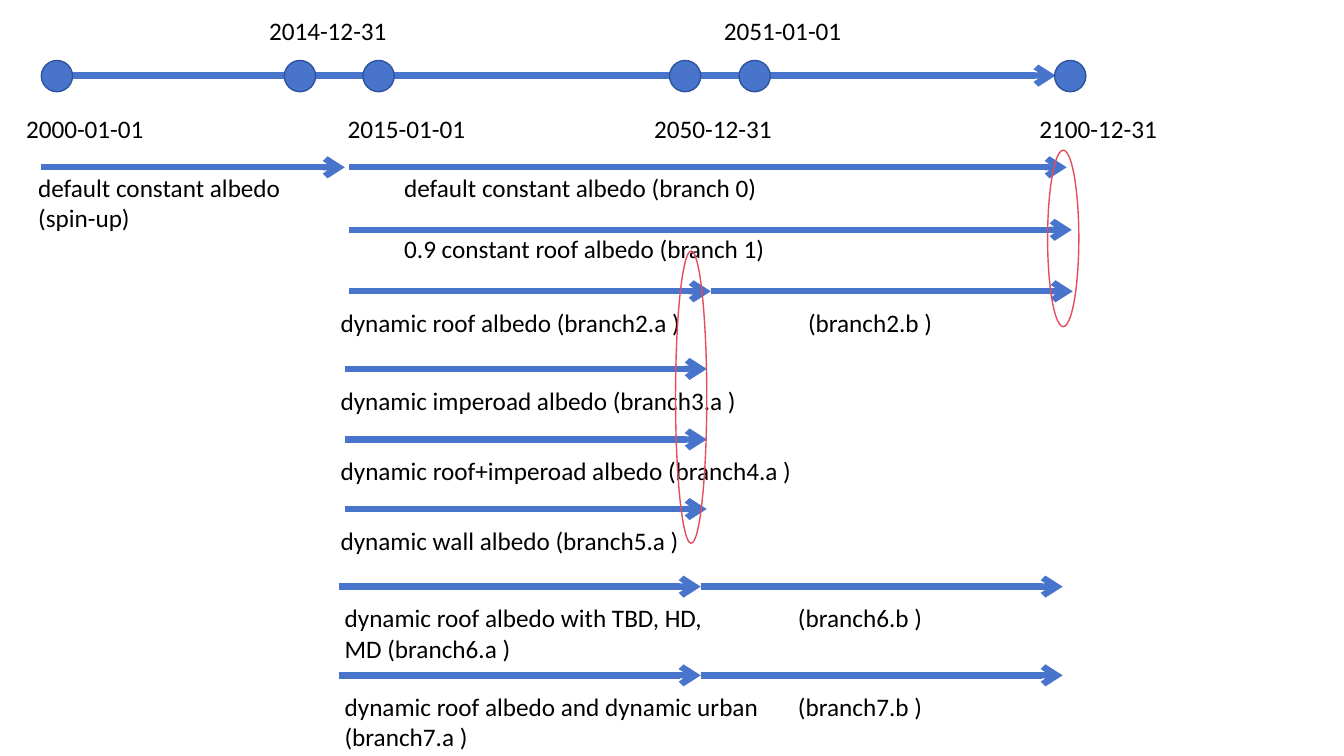
from pptx import Presentation
from pptx.dml.color import RGBColor
from pptx.enum.shapes import MSO_CONNECTOR, MSO_SHAPE
from pptx.enum.text import MSO_AUTO_SIZE
from pptx.oxml.ns import qn
from pptx.util import Pt
from lxml import etree

PX = 9144
LINE = MSO_CONNECTOR.STRAIGHT
OVAL = MSO_SHAPE.OVAL
GROW = MSO_AUTO_SIZE.SHAPE_TO_FIT_TEXT
FIXED = MSO_AUTO_SIZE.NONE
BLUE = RGBColor(0x48, 0x74, 0xCB)
NAVY = RGBColor(0x2E, 0x54, 0xA1)
RED = RGBColor(0xE5, 0x4C, 0x5E)
BLACK = RGBColor(0, 0, 0)
FONT = {"name": "Calibri", "size": Pt(18), "bold": False}

DOT = 31
SPAN = 359
DATES = [
    (41, "2000-01-01", 108, 196),
    (282, "2014-12-31", 10, 246),
    (360, "2015-01-01", 108, 208),
    (664, "2050-12-31", 108, 218),
    (733, "2051-01-01", 10, 188),
    (1046, "2100-12-31", 108, 200),
]
ROWS = [
    (346, 289, 328, 444, 40, "dynamic roof albedo (branch2.a )", " (branch2.b )"),
    (342, 366, 328, 444, 40, "dynamic imperoad albedo (branch3.a )", None),
    (342, 436, 328, 618, 40, "dynamic roof+imperoad albedo (branch4.a )", None),
    (342, 505, 328, 444, 40, "dynamic wall albedo (branch5.a )", None),
    (336, 582, 332, 376, 71,
     "dynamic roof albedo with TBD, HD, MD (branch6.a )", " (branch6.b )"),
    (336, 670, 332, 444, 71,
     "dynamic roof albedo and dynamic urban (branch7.a )", " (branch7.b )"),
]


def emu(*box):
    return [n * PX for n in box]


def label(slide, box, lines, fit=GROW, gap=0):
    frame = slide.shapes.add_textbox(*emu(*box)).text_frame
    frame.word_wrap = True
    frame.auto_size = fit
    for i, words in enumerate(lines):
        para = frame.add_paragraph() if i else frame.paragraphs[0]
        if i and gap:
            para.space_before = Pt(gap)
        run = para.add_run()
        run.text = words
        for key, val in FONT.items():
            setattr(run.font, key, val)
        run.font.color.rgb = BLACK


def arrow(slide, left, top, right):
    link = slide.shapes.add_connector(LINE, *emu(left, top, right, top))
    link.line.color.rgb = BLUE
    link.line.width = Pt(4.5)
    props = link.element.spPr
    etree.SubElement(props.find(qn("a:ln")), qn("a:tailEnd"), type="arrow")
    etree.SubElement(props, qn("a:effectLst"))


def oval(slide, box, edge, fill=None):
    ring = slide.shapes.add_shape(OVAL, *emu(*box))
    ring.shadow.inherit = False
    if fill is None:
        ring.fill.background()
    else:
        ring.fill.solid()
        ring.fill.fore_color.rgb = fill
    ring.line.color.rgb = edge
    ring.line.width = Pt(1)


def timeline(slide, left, top, width):
    arrow(slide, left, top, left + width)
    for x, date, y, wide in DATES:
        oval(slide, (x, top - 15, DOT, DOT), NAVY, BLUE)
        label(slide, (x - 25, y, wide, 40), [date])


def constant(slide, left, top):
    label(slide, (left - 13, top, 285, 42),
          ["default constant albedo", "(spin-up)"], FIXED)
    label(slide, (left + 350, top, 715, 101),
          ["default constant albedo (branch 0)",
           "0.9 constant roof albedo (branch 1)"], FIXED, 22)
    arrow(slide, left, top, left + 301)
    arrow(slide, left + 305, top, left + 1017)
    arrow(slide, left + 305, top + 62, left + 1022)


def branch(slide, left, top, start, width, height, first, second):
    mid = left + SPAN
    arrow(slide, left, top, mid)
    label(slide, (start, top + 11, width, height), [first])
    if second:
        arrow(slide, mid, top, mid + SPAN)
        label(slide, (mid + 81, top + 11, 444, 40), [second])


def main():
    deck = Presentation()
    deck.slide_width, deck.slide_height = emu(1333, 750)
    slide = deck.slides.add_slide(deck.slide_layouts[6])
    timeline(slide, 41, 75, 1006)
    constant(slide, 41, 166)
    for row in ROWS:
        branch(slide, *row)
    for box in ((1039, 149, DOT, 175), (670, 249, DOT, 290)):
        oval(slide, box, RED)
    deck.save("out.pptx")


if __name__ == "__main__":
    main()
